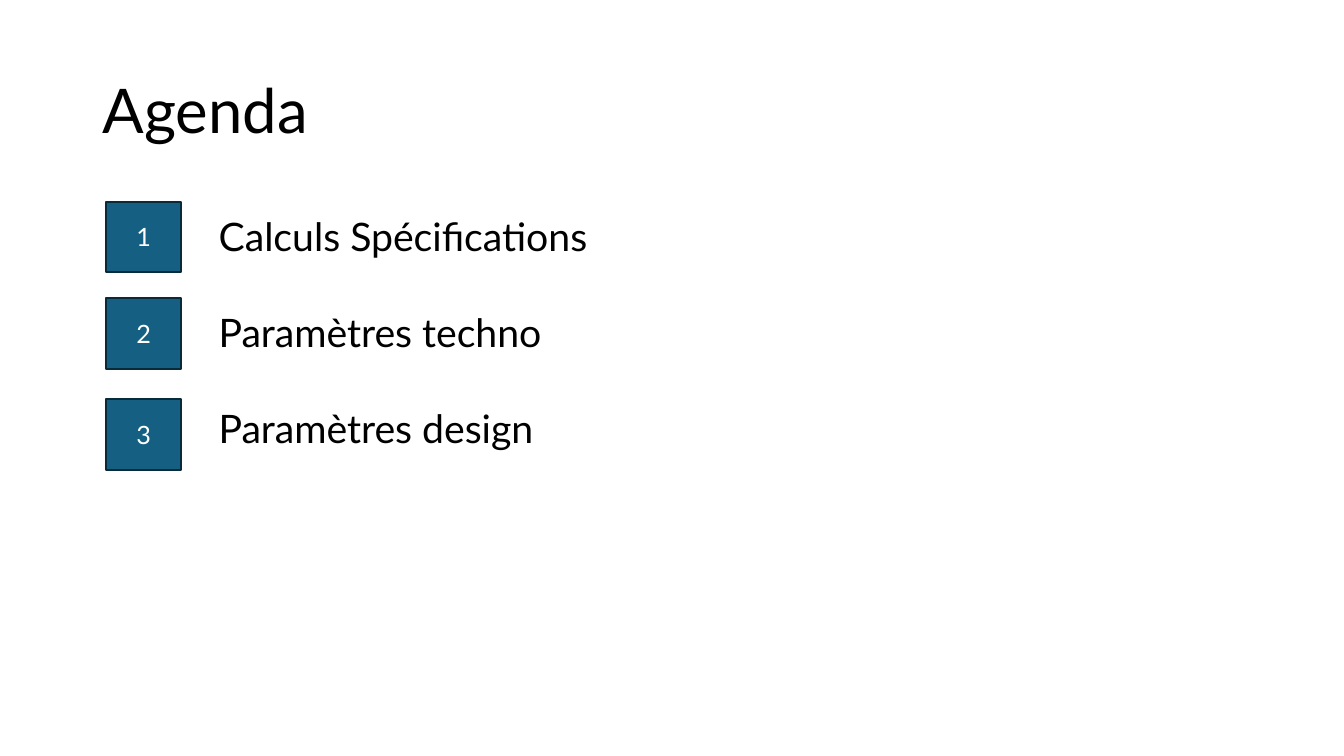
from pptx import Presentation
from pptx import util as u
from pptx.dml import color
from pptx.enum import shapes, text

COLORS = {"ink": "000000", "badge": "156082", "edge": "092A39", "light": "FFFFFF"}
AGENDA = [
    ("Calculs Spécifications", 2),
    ("Paramètres techno", 2.96),
    ("Paramètres design", 3.96),
]


def rgb(name):
    """Return the named colour."""
    return color.RGBColor.from_string(COLORS[name])


def write(tf, content, size, ink="ink", font="Lato", align=text.PP_ALIGN.LEFT,
          anchor=text.MSO_ANCHOR.TOP, spacing=None):
    """Fill a text frame with one formatted paragraph."""
    tf.word_wrap = True
    tf.vertical_anchor = anchor
    p = tf.paragraphs[0]
    p.alignment = align
    p.line_spacing = spacing
    r = p.add_run()
    r.text = content
    r.font.name = font
    r.font.size = u.Pt(size)
    r.font.color.rgb = rgb(ink)


class Deck:
    """Hold the current slide and its text and badge styles."""

    def __init__(self, prs):
        """Add a blank slide."""
        self.s = prs.slides.add_slide(prs.slide_layouts[6])

    def title(self, content):
        """Add the slide heading."""
        sp = self.s.shapes.add_textbox(u.Inches(0.92), u.Inches(0.4),
                                       u.Inches(11.5), u.Inches(1.45))
        write(sp.text_frame, content, 44, anchor=text.MSO_ANCHOR.MIDDLE, spacing=0.9)

    def label(self, content, top):
        """Add the wording of an agenda item."""
        sp = self.s.shapes.add_textbox(u.Inches(2.07), u.Inches(top),
                                       u.Inches(5.39), u.Inches(0.57))
        write(sp.text_frame, content, 28)
        sp.text_frame.auto_size = text.MSO_AUTO_SIZE.SHAPE_TO_FIT_TEXT

    def badge(self, number, top):
        """Add a numbered square."""
        sp = self.s.shapes.add_shape(shapes.MSO_SHAPE.RECTANGLE, u.Inches(1.05),
                                     u.Inches(top), u.Inches(0.75), u.Inches(0.7))
        sp.shadow.inherit = False
        sp.fill.solid()
        sp.fill.fore_color.rgb = rgb("badge")
        sp.line.color.rgb = rgb("edge")
        sp.line.width = u.Pt(1.5)
        write(sp.text_frame, str(number), 18, ink="light",
              align=text.PP_ALIGN.CENTER, anchor=text.MSO_ANCHOR.MIDDLE)


def main():
    """Build and save the agenda slide."""
    prs = Presentation()
    prs.slide_width, prs.slide_height = u.Inches(13.33), u.Inches(7.5)
    deck = Deck(prs)
    deck.title("Agenda")
    for i, (content, badge_top) in enumerate(AGENDA):
        deck.label(content, 2.06 + 0.95 * i)
        deck.badge(i + 1, badge_top)
    prs.save("out.pptx")


if __name__ == "__main__":
    main()
